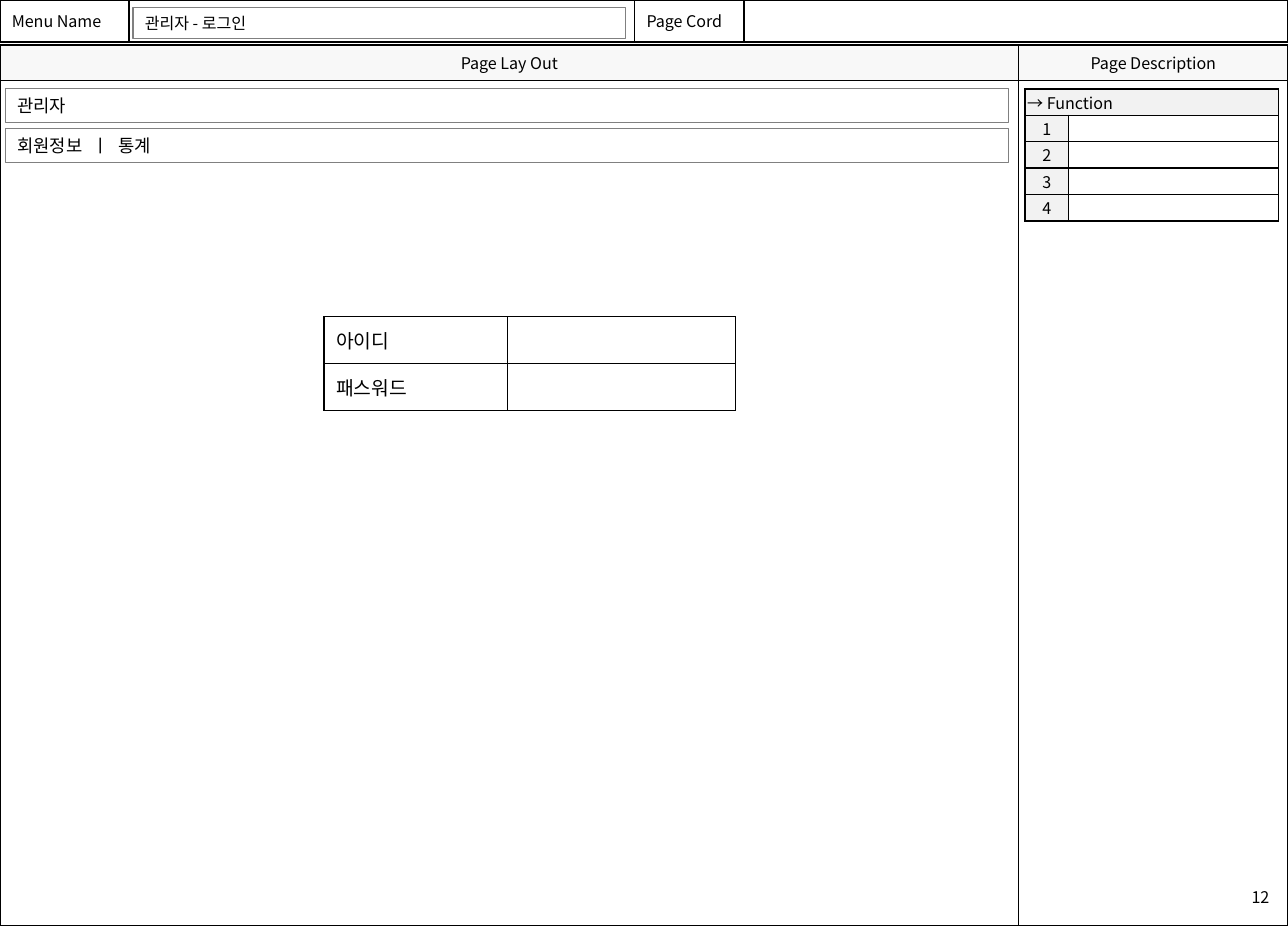
import dataclasses

import lxml.etree
import pptx
import pptx.dml.color
import pptx.enum.shapes
import pptx.enum.text
import pptx.oxml.ns
import pptx.util

Cm, Pt = pptx.util.Cm, pptx.util.Pt
ALIGN = pptx.enum.text.PP_ALIGN
ANCHOR = pptx.enum.text.MSO_ANCHOR
qn = pptx.oxml.ns.qn


@dataclasses.dataclass(frozen=True)
class Theme:
    """Colours, font and type sizes of the wireframe."""

    font: str = "Noto Sans CJK KR"
    ink: str = "000000"
    frame: str = "808080"
    white: str = "FFFFFF"
    heading: str = "F8F8F8"
    label: str = "F2F2F2"
    small: int = 10
    body: int = 11
    form: int = 12


THEME = Theme()


def rgb(value):
    """Return a colour object for a hex string."""
    return pptx.dml.color.RGBColor.from_string(value)


def apply(target, values):
    """Set every attribute in values on target."""
    for name, value in values.items():
        setattr(target, name, value)


def margins(horizontal, vertical):
    """Return the four inner margins in centimetres as format values."""
    sides = {"left": horizontal, "right": horizontal, "top": vertical, "bottom": vertical}
    return {f"margin_{side}": Cm(size) for side, size in sides.items()}


def write(paragraph, text, size, align=ALIGN.LEFT, tabs=()):
    """Write one styled run, or size the empty paragraph."""
    paragraph.alignment = align
    if not text:
        lxml.etree.SubElement(paragraph._p, qn("a:endParaRPr"), sz=str(size * 100))
        return
    if tabs:
        stops = lxml.etree.SubElement(paragraph._p.get_or_add_pPr(), qn("a:tabLst"))
        for stop in tabs:
            lxml.etree.SubElement(stops, qn("a:tab"), pos=str(int(Cm(stop))), algn="l")
    run = paragraph.add_run()
    run.text = text
    apply(run.font, {"size": Pt(size), "name": THEME.font})
    run.font.color.rgb = rgb(THEME.ink)
    lxml.etree.SubElement(run.font._element, qn("a:ea"), typeface=THEME.font)


def add_borders(cell):
    """Draw a thin line on all four sides of a cell."""
    properties = cell._tc.get_or_add_tcPr()
    for side in ("lnL", "lnR", "lnT", "lnB"):
        line = lxml.etree.SubElement(properties, qn(f"a:{side}"), w=str(int(Pt(1))))
        fill = lxml.etree.SubElement(line, qn("a:solidFill"))
        lxml.etree.SubElement(fill, qn("a:srgbClr"), val=THEME.ink)


def fill_cell(cell, text, size, fill=None, align=ALIGN.LEFT, inset=(0.26, 0.13)):
    """Give a cell its borders, fill and text."""
    add_borders(cell)
    if fill:
        cell.fill.solid()
        cell.fill.fore_color.rgb = rgb(fill)
    else:
        cell.fill.background()
    apply(cell, {"vertical_anchor": ANCHOR.MIDDLE, **margins(*inset)})
    write(cell.text_frame.paragraphs[0], text, size, align)


def add_grid(slide, left, top, columns, rows):
    """Add a table with the given column widths and row heights."""
    box = map(Cm, (left, top, sum(columns), sum(rows)))
    table = slide.shapes.add_table(len(rows), len(columns), *box).table
    for column, width in zip(table.columns, columns):
        column.width = Cm(width)
    for row, height in zip(table.rows, rows):
        row.height = Cm(height)
    return table


def add_bar(slide, left, top, width, height, text, size, tabs=()):
    """Add an outlined bar with text on its left."""
    shape = slide.shapes.add_shape(
        pptx.enum.shapes.MSO_SHAPE.RECTANGLE, *map(Cm, (left, top, width, height)))
    shape.shadow.inherit = False
    shape.fill.background()
    shape.line.color.rgb = rgb(THEME.frame)
    shape.line.width = Pt(0.75)
    frame = shape.text_frame
    apply(frame, {"word_wrap": True, "vertical_anchor": ANCHOR.MIDDLE, **margins(0.26, 0)})
    write(frame.paragraphs[0], text, size, tabs=tabs)


def add_page_frame(slide, left, top, columns, rows):
    """Add the two-column page frame with its headings."""
    table = add_grid(slide, left, top, columns, rows)
    for index, heading in enumerate(("Page Lay Out", "Page Description")):
        fill_cell(table.cell(0, index), heading, THEME.small, THEME.heading, ALIGN.CENTER, (0, 0))
        fill_cell(table.cell(1, index), "", THEME.small)


def add_menu_header(slide, left, top, columns, height):
    """Add the header strip with the menu name."""
    table = add_grid(slide, left, top, columns, [height])
    for index, text in enumerate(("Menu Name", "", "Page Cord", "")):
        fill_cell(table.cell(0, index), text, THEME.small)
    add_bar(slide, left + columns[0] + 0.09, top + 0.16, columns[1] - 0.28, 0.69,
            "관리자 - 로그인", THEME.small)


def add_navigation(slide, left, top, width, height, step):
    """Add the title bar and the menu bar below it."""
    add_bar(slide, left, top, width, height, "관리자", THEME.body)
    add_bar(slide, left, top + step, width, height, "회원정보\tㅣ\t통계", THEME.body, (1.66, 2.22))


def add_login_form(slide, left, top, columns, height):
    """Add the login form with a row for each field."""
    fields = ("아이디", "패스워드")
    table = add_grid(slide, left, top, columns, [height] * len(fields))
    for row, field in enumerate(fields):
        for column, text in enumerate((field, "")):
            fill_cell(table.cell(row, column), text, THEME.form, THEME.white)


def add_function_list(slide, left, top, columns, height, count):
    """Add the function heading and its numbered empty rows."""
    table = add_grid(slide, left, top, columns, [height] * (count + 1))
    inset = (0.05, 0)
    fill_cell(table.cell(0, 0), "→ Function", THEME.small, THEME.label, inset=inset)
    fill_cell(table.cell(0, 1), "", THEME.small, THEME.label, inset=inset)
    table.cell(0, 0).merge(table.cell(0, 1))
    for row in range(1, count + 1):
        fill_cell(table.cell(row, 0), str(row), THEME.small, THEME.label, ALIGN.CENTER, inset)
        fill_cell(table.cell(row, 1), "", THEME.small, THEME.white, inset=inset)


def add_page_number(slide, left, top, width, height, number):
    """Add the page number at the lower right."""
    frame = slide.shapes.add_textbox(*map(Cm, (left, top, width, height))).text_frame
    apply(frame, {"word_wrap": True, **margins(0.3, 0.15)})
    write(frame.paragraphs[0], number, THEME.small, ALIGN.RIGHT)


def main():
    """Build the login page wireframe and save it."""
    presentation = pptx.Presentation()
    apply(presentation, {"slide_width": Cm(28.25), "slide_height": Cm(20.32)})
    slide = presentation.slides.add_slide(presentation.slide_layouts[6])
    add_page_frame(slide, 0, 0.99, (22.34, 5.91), (0.78, 18.54))
    add_menu_header(slide, 0, 0, (2.83, 11.09, 2.4, 11.93), 0.92)
    add_page_number(slide, 23.47, 19.32, 4.67, 0.81, "12")
    add_navigation(slide, 0.12, 1.95, 22, 0.74, 0.87)
    add_login_form(slide, 7.11, 6.95, (4.02, 5), 1.03)
    add_function_list(slide, 22.48, 1.95, (0.96, 4.6), 0.58, 4)
    presentation.save("out.pptx")


if __name__ == "__main__":
    main()
